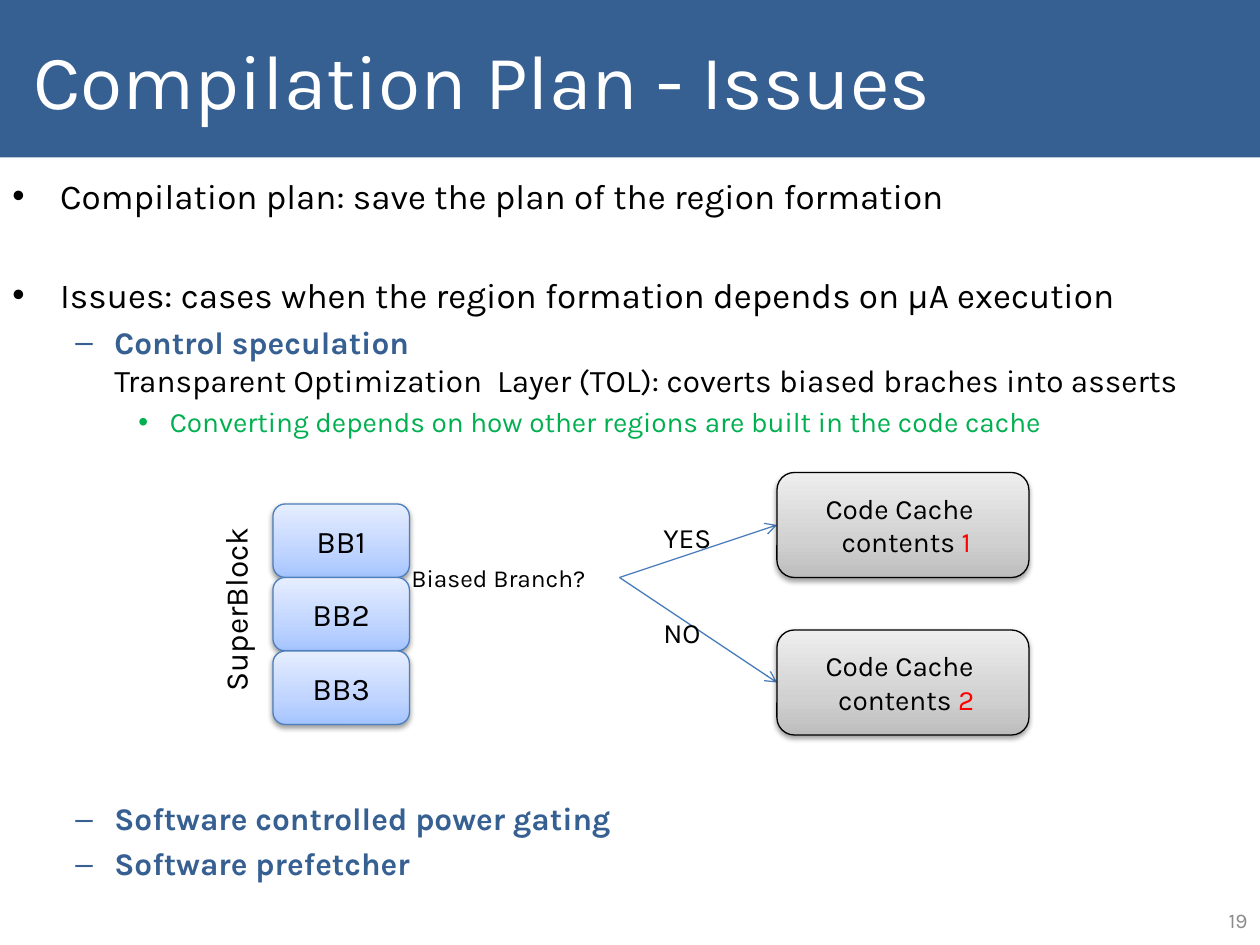
from lxml import etree
from pptx import Presentation
from pptx.dml.color import RGBColor
from pptx.enum.dml import MSO_FILL
from pptx.enum.shapes import MSO_CONNECTOR, MSO_SHAPE
from pptx.enum.text import MSO_ANCHOR, PP_ALIGN
from pptx.oxml import parse_xml
from pptx.oxml.ns import nsdecls, qn
from pptx.util import Inches, Pt

RECT, ROUND = MSO_SHAPE.RECTANGLE, MSO_SHAPE.ROUNDED_RECTANGLE
STRAIGHT = MSO_CONNECTOR.STRAIGHT
LEFT, CENTER, RIGHT = PP_ALIGN.LEFT, PP_ALIGN.CENTER, PP_ALIGN.RIGHT
TOP, MIDDLE = MSO_ANCHOR.TOP, MSO_ANCHOR.MIDDLE
FONT = "Karla"
COLS, ROWS = 120, 90
UNIT = Inches(10) / COLS
C = {"navy": "376092", "black": "000000", "white": "FFFFFF", "green": "00B050",
     "red": "FF0000", "grey": "8C8C8C", "line": "4B7EBC"}
GRADS = {"blue": ((0, "A4C4FF"), (35, "BFD4FF"), (100, "E6EEFF")),
         "grey": ((0, "BDBDBD"), (35, "D1D1D1"), (100, "EEEEEE"))}
# level: left indent, hanging indent (inches), bullet, size, space before (points)
LEVELS = ((0.38, 0.38, "•", 20, 4.7), (0.81, 0.31, "–", 18, 4.2), (1.25, 0.25, "•", 16, 3.7))


def grid(*units):
    """Turn grid units into lengths."""
    return [round(u * UNIT) for u in units]


def style(font, size=None, color=None, bold=None):
    """Set the parts of a font that are given."""
    if size:
        font.name, font.size = FONT, Pt(size)
    if color:
        font.color.rgb = RGBColor.from_string(C[color])
    if bold is not None:
        font.bold = bold


def write(tf, text, size, color="black", align=LEFT, anchor=TOP):
    """Write one paragraph into a text frame and return it."""
    tf.word_wrap, tf.vertical_anchor = True, anchor
    p = tf.paragraphs[0]
    p.text, p.alignment = text, align
    style(p.font, size, color)
    return p


def label(slide, box, text, size, **kw):
    """Add a text box at a box of grid units."""
    tb = slide.shapes.add_textbox(*grid(*box))
    write(tb.text_frame, text, size, **kw)
    return tb


def block(slide, box, grad, line, text, size):
    """Add a rounded, shaded block with a soft shadow and return its paragraph."""
    sp = slide.shapes.add_shape(ROUND, *grid(*box))
    sp.line.color.rgb = RGBColor.from_string(C[line])
    sp.line.width = Pt(0.75)
    sp.shadow.inherit = False
    stops = "".join(f'<a:gs pos="{pos * 1000}"><a:srgbClr val="{rgb}"/></a:gs>'
                    for pos, rgb in GRADS[grad])
    spPr = sp._element.spPr
    spPr.find(qn("a:prstGeom")).addnext(parse_xml(
        f'<a:gradFill {nsdecls("a")} rotWithShape="1"><a:gsLst>{stops}</a:gsLst>'
        '<a:lin ang="16200000" scaled="0"/></a:gradFill>'))
    spPr.find(qn("a:effectLst")).append(parse_xml(
        f'<a:outerShdw {nsdecls("a")} blurRad="{Pt(3.1)}" dist="{Pt(1.6)}" dir="5400000" '
        'rotWithShape="0"><a:srgbClr val="000000"><a:alpha val="38000"/></a:srgbClr>'
        '</a:outerShdw>'))
    return write(sp.text_frame, text, size, align=CENTER, anchor=MIDDLE)


def arrow(slide, x1, y1, x2, y2):
    """Add a thin line with an open arrowhead at its end."""
    cx = slide.shapes.add_connector(STRAIGHT, *grid(x1, y1, x2, y2))
    cx.line.color.rgb = RGBColor.from_string(C["line"])
    cx.line.width = Pt(0.75)
    etree.SubElement(cx.line._get_or_add_ln(), qn("a:tailEnd"), type="arrow")
    etree.SubElement(cx._element.spPr, qn("a:effectLst"))


def header(slide, x, y, w, h, title):
    """Fill the title band and write the title in it."""
    band = slide.shapes.add_shape(RECT, *grid(x, y, w, h))
    band.shadow.inherit = False
    band.fill.solid()
    band.fill.fore_color.rgb = RGBColor.from_string(C["navy"])
    band.line.fill.background()
    label(slide, (x + 2, y, w - 2, h), title, 44, color="white", anchor=MIDDLE)


def outline(slide, x, y, w, h, items):
    """Write the bullets: (level, extra space before, lines of (text, colour, bold))."""
    tf = slide.shapes.add_textbox(*grid(x, y, w, h)).text_frame
    tf.word_wrap = True
    for i, (level, gap, lines) in enumerate(items):
        p = tf.add_paragraph() if i else tf.paragraphs[0]
        left, hang, bullet, size, before = LEVELS[level]
        p.level = level
        p.space_before = Pt(before + gap if i else 0)
        style(p.font, size)
        pPr = p._p.get_or_add_pPr()
        pPr.set("marL", str(Inches(left)))
        pPr.set("indent", str(-Inches(hang)))
        pPr.find(qn("a:defRPr")).addprevious(
            parse_xml(f'<a:buFont {nsdecls("a")} typeface="Arial"/>'))
        pPr.find(qn("a:defRPr")).addprevious(
            parse_xml(f'<a:buChar {nsdecls("a")} char="{bullet}"/>'))
        for j, (text, color, bold) in enumerate(lines):
            if j:
                p.add_line_break()
            r = p.add_run()
            r.text = text
            style(r.font, color=color, bold=bold)


def superblock(slide, x, y, w, h, names):
    """Stack the basic blocks with a vertical caption on their left."""
    for i, name in enumerate(names):
        block(slide, (x, y + i * h, w, h), "blue", "line", name, 18)
    caption_w, caption_h = 18, 4.8
    middle = y + len(names) * h / 2 - 0.5
    caption = label(slide, (x - 3.6 - caption_w / 2, middle - caption_h / 2,
                            caption_w, caption_h), "SuperBlock", 18)
    caption.rotation = 270


def branch(slide, x, y, answers):
    """Lead from the question to one code cache box for each answer."""
    label(slide, (x, y + 8, 21, 4), "Biased Branch?", 14)
    for i, (answer, label_row) in enumerate(answers):
        top = y + i * 15
        arrow(slide, x + 21, y + 10, x + 36, top + 5)
        label(slide, (x + 24, y + label_row, 8, 4.4), answer, 16)
        p = block(slide, (x + 36, top, 24, 10), "grey", "black",
                  "Code Cache \v contents ", 16)
        r = p.add_run()
        r.text = str(i + 1)
        style(r.font, color="red")


def build():
    """Build the slide and save it."""
    prs = Presentation()
    prs.slide_width, prs.slide_height = grid(COLS, ROWS)
    slide = prs.slides.add_slide(prs.slide_layouts[6])
    header(slide, 0, 0, COLS, 15, "Compilation Plan - Issues")
    outline(slide, 0, 16, COLS, 74, (
        (0, 0, [("Compilation plan: save the plan of the region formation", "black", None)]),
        (0, 28, [("Issues: cases when the region formation depends on µA execution",
                  "black", None)]),
        (1, 0, [("Control speculation", "navy", True),
                ("Transparent Optimization  Layer (TOL): coverts biased braches into asserts",
                 "black", None)]),
        (2, 0, [("Converting depends on how other regions are built in the code cache",
                 "green", None)]),
        (1, 202, [("Software controlled power gating", "navy", True)]),
        (1, 0, [("Software prefetcher", "navy", True)])))
    superblock(slide, 26, 48, 13, 7, ("BB1", "BB2", "BB3"))
    branch(slide, 38, 45, (("YES", 4), ("NO", 13)))
    label(slide, (92, 85.2, 28, 4.8), "19", 12, color="grey", align=RIGHT, anchor=MIDDLE)
    prs.save("out.pptx")


build()
